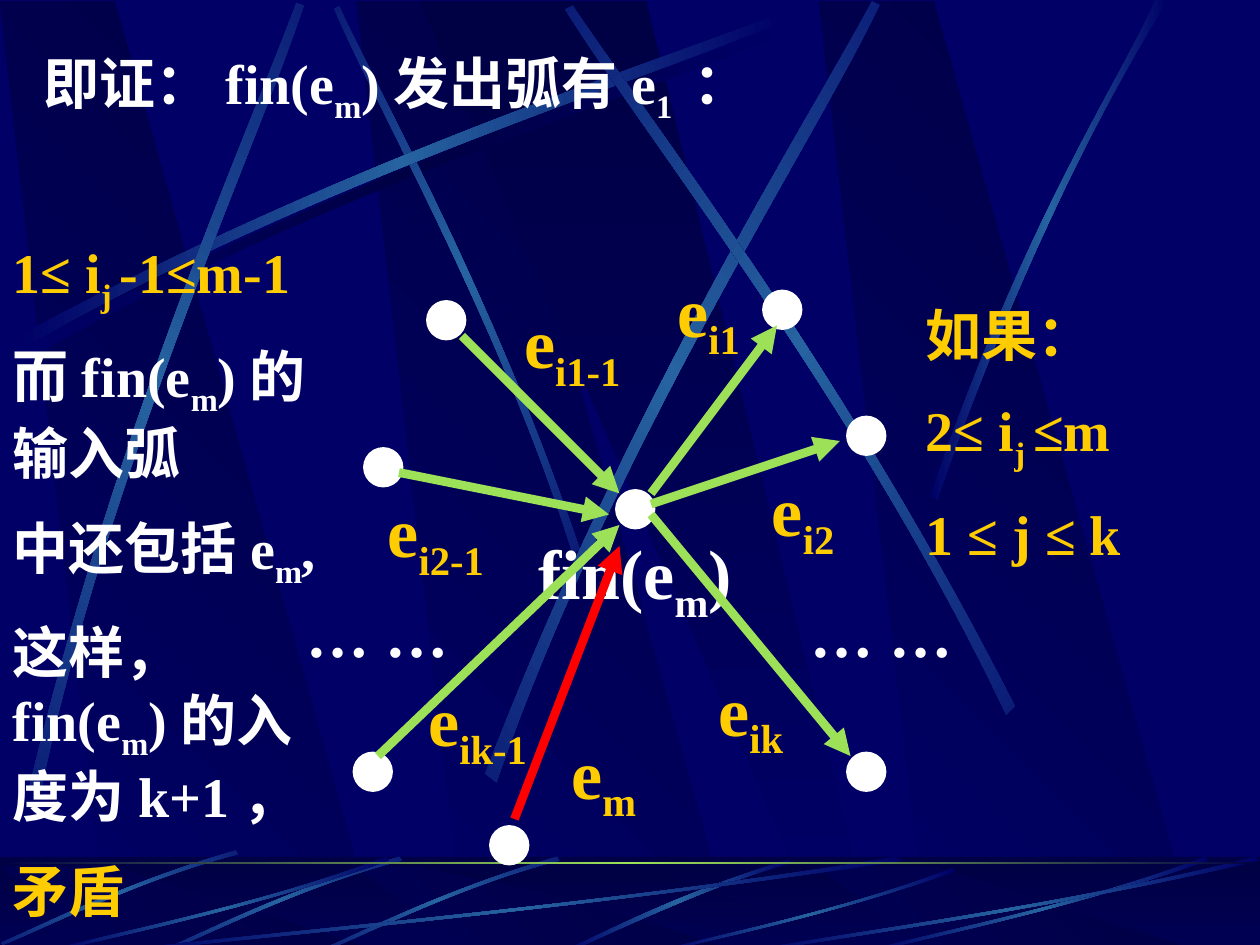
import math

import pptx
import pptx.dml.color
import pptx.enum.shapes
import pptx.enum.text
import pptx.oxml
import pptx.oxml.ns
import pptx.util

SHAPE = pptx.enum.shapes.MSO_SHAPE
ALIGN = pptx.enum.text.PP_ALIGN
NS = pptx.oxml.ns.nsdecls("a")
NAVY, DARK, STEEL, GREEN = "000066", "000044", "2663A0", "9CE157"
WHITE, GOLD, RED = "FFFFFF", "FFCC00", "FF0000"
W, H = 10, 7.5
UNIT = W / 120  # the diagram sits on a grid of 120 columns and 90 rows

# Streaks: rotation, pivot, then two cubic edges (out and back)
UPPER_STREAKS = [
    (0, (3.24, 1.52), [(0.2, 2.75), (2.84, 1.34), (5.24, 0.59), (6.26, 0.18),
                       (6.29, 0.24), (5.28, 0.69), (2.54, 1.51), (0.23, 2.85)], DARK),
    (45, (3.62, 2.22), [(4.6, 4.36), (3.91, 2.34), (3.02, 0.77), (2.69, 0.05),
                        (2.65, 0.07), (2.95, 0.79), (3.98, 2.58), (4.54, 4.39)], STEEL),
    (0, (3.18, 1.44), [(0.14, 2.67), (2.78, 1.25), (5.18, 0.51), (6.2, 0.1),
                       (6.23, 0.16), (5.22, 0.61), (2.48, 1.43), (0.17, 2.77)], STEEL),
    (311.7, (1.33, 3.16), [(0.23, 6.25), (0.93, 3.34), (1.97, 1.05), (2.35, 0.02),
                           (2.41, 0.04), (2.07, 1.09), (0.86, 3.68), (0.32, 6.29)], STEEL),
    (321.6, (5.43, 3.11), [(3.85, 6.14), (4.98, 3.2), (6.38, 1.02), (6.92, 0.01),
                           (6.98, 0.04), (6.49, 1.08), (4.86, 3.55), (3.94, 6.21)], STEEL),
    (34.7, (6.27, 2.86), [(8.06, 5.6), (6.7, 2.93), (5.16, 0.95), (4.55, 0.04),
                          (4.49, 0.07), (5.07, 1.01), (6.85, 3.25), (7.99, 5.67)], STEEL),
    (0, (8.32, 1.98), [(7.38, 3.94), (8.14, 1.73), (8.88, 0.66), (9.17, 0),
                       (9.27, 0), (8.36, 1.45), (7.69, 3.22), (7.44, 3.97)], STEEL),
]
TILTED = [(4.42, 6.8), (3.55, 7.05), (2.87, 7.4), (2.56, 7.53),
          (2.57, 7.55), (2.88, 7.43), (3.65, 7.03), (4.44, 6.83)]
# A flat streak as shares of its own width and height
FLAT = [(1, 0.04), (0.57, 0.57), (0.17, 0.85), (0.01, 1),
        (0, 0.98), (0.17, 0.81), (0.62, 0.51), (0.99, 0)]
FLAT_FRAMES = [(1, 6.8, 6.17, 0.75), (0.42, 6.8, 2.67, 0.75), (5.27, 6.89, 2.31, 0.66),
               (6.92, 6.8, 2.67, 0.75), (6, 6.8, 4, 0.75)]

NODES = [(59, 47), (35, 43), (41, 29), (81, 72), (81, 40), (73, 28), (34, 72), (47, 79)]
ARROWS = [((44, 32), (59, 47), GREEN), ((38, 45), (58, 49), GREEN),
          ((36, 72), (59, 50), GREEN), ((62, 47), (74, 31), GREEN),
          ((62, 48), (80, 42), GREEN), ((62, 49), (81, 72), GREEN),
          ((49, 78), (59, 52), RED)]
# In texts, "|" switches between normal and subscript
LABELS = [(40, 65, "e|ik-1"), (36, 47, "e|i2-1"), (49, 29, "e|i1-1"), (66, 64, "e|ik"),
          (71, 45, "e|i2"), (62, 26, "e|i1"), (52, 70, "e|m")]
DOTS = [("… …", WHITE)]
ARGUMENT = [("1≤ i|j |-1≤m-1", GOLD), ("而fin(e|m|)的输入弧", WHITE), ("中还包括e|m|,", WHITE),
            ("这样，fin(e|m|)的入度为k+1，", WHITE), ("矛盾", GOLD)]
CONDITION = [("如果：", GOLD), ("2≤ i|j |≤m", GOLD), ("1 ≤ j ≤ k", GOLD)]
CLAIM = [("即证：fin(e|m|)发出弧有e|1 |：", WHITE)]


def rgb(color):
    return pptx.dml.color.RGBColor.from_string(color)


def inch(v):
    return pptx.util.Inches(v)


def gradient(sp, colors, angle):
    """Spread the colours evenly along the angle, and drop line and shadow."""
    sp.shadow.inherit = False
    sp.line.fill.background()
    stops = "".join(
        f'<a:gs pos="{round(100000 * i / (len(colors) - 1))}"><a:srgbClr val="{c}"/></a:gs>'
        for i, c in enumerate(colors))
    fill = pptx.oxml.parse_xml(
        f'<a:gradFill {NS} rotWithShape="1"><a:gsLst>{stops}</a:gsLst>'
        f'<a:lin ang="{angle * 60000}" scaled="1"/></a:gradFill>')
    sp.fill.solid()
    solid = sp._element.spPr.find(pptx.oxml.ns.qn("a:solidFill"))
    solid.getparent().replace(solid, fill)


def outline(s, points):
    pts = [(inch(x), inch(y)) for x, y in points]
    fb = s.shapes.build_freeform(*pts[0], scale=1.0)
    fb.add_line_segments(pts[1:], close=True)
    return fb.convert_to_shape()


def bend(sp):
    """Turn segments 1-3 and 5-7 of the outline into cubic curves."""
    segments = sp._element.spPr.findall(".//" + pptx.oxml.ns.qn("a:lnTo"))
    for part in (segments[:3], segments[4:7]):
        curve = pptx.oxml.parse_xml(f"<a:cubicBezTo {NS}/>")
        part[0].addprevious(curve)
        for segment in part:
            curve.append(segment[0])
            segment.getparent().remove(segment)


def turn(point, pivot, degrees):
    a = math.radians(degrees)
    x, y = point[0] - pivot[0], point[1] - pivot[1]
    return (pivot[0] + x * math.cos(a) - y * math.sin(a),
            pivot[1] + x * math.sin(a) + y * math.cos(a))


def streak(s, rotation, pivot, points, middle=STEEL):
    sp = outline(s, [turn(p, pivot, -rotation) for p in points])
    bend(sp)
    sp.rotation = rotation
    gradient(sp, [NAVY, middle, NAVY], 0)


def bands(s, top, bottom):
    for x in (2.83, 0, 6.5):
        sp = outline(s, [(x + 0.86, bottom), (x + 3.02, bottom), (x + 0.91, top), (x, top)])
        gradient(sp, [NAVY, DARK], 315)
    sp = outline(s, [(3.33, top), (6.58, bottom), (6.94, bottom), (5.13, top)])
    gradient(sp, [DARK, NAVY], 90)


def bar(s, top, height):
    return s.shapes.add_shape(SHAPE.RECTANGLE, 0, inch(top), inch(W), inch(height))


def backdrop(s):
    s.background.fill.solid()
    s.background.fill.fore_color.rgb = rgb(NAVY)
    bands(s, 0.01, 7.52)
    for item in UPPER_STREAKS:
        streak(s, *item)
    # Floor
    gradient(bar(s, 6.8, 0.75), [DARK, NAVY], 90)
    bands(s, 6.88, 7.55)
    veil = bar(s, 6.8, 0.75)
    veil.shadow.inherit = False
    veil.line.fill.background()
    veil.fill.solid()
    veil.fill.fore_color.rgb = rgb(DARK)
    veil._element.spPr.find(".//" + pptx.oxml.ns.qn("a:srgbClr")).append(
        pptx.oxml.parse_xml(f'<a:alpha {NS} val="50000"/>'))
    streak(s, 0, (5.38, 7.18), [(6.27, 6.82), (5.37, 7.09), (4.77, 7.42), (4.48, 7.54),
                                (4.53, 7.55), (4.9, 7.38), (5.71, 7), (6.28, 6.85)])
    for dx, dy in ((0, 0), (-1.25, 0), (-2.55, -0.05)):
        streak(s, 315, (3.5 + dx, 7.18 + dy), [(x + dx, y + dy) for x, y in TILTED])
    for x, y, w, h in FLAT_FRAMES:
        streak(s, 0, (x, y), [(x + w * u, y + h * v) for u, v in FLAT])
    gradient(bar(s, 6.84, 0.02), [DARK, GREEN, DARK], 0)


def grid(*cells):
    return [inch(c * UNIT) for c in cells]


def node(s, col, row):
    sp = s.shapes.add_shape(SHAPE.OVAL, *grid(col, row, 3, 3))
    sp.shadow.inherit = False
    sp.fill.solid()
    sp.fill.fore_color.rgb = sp.line.color.rgb = rgb(WHITE)
    sp.line.width = pptx.util.Pt(5)


def arrow(s, start, end, color):
    cn = s.shapes.add_connector(pptx.enum.shapes.MSO_CONNECTOR.STRAIGHT, *grid(*start, *end))
    cn.line.color.rgb = rgb(color)
    cn.line.width = pptx.util.Pt(5)
    cn.line._get_or_add_ln().append(pptx.oxml.parse_xml(f'<a:tailEnd {NS} type="triangle"/>'))
    cn._element.spPr.append(pptx.oxml.parse_xml(f"<a:effectLst {NS}/>"))


def write(p, text, size, color):
    for i, part in enumerate(text.split("|")):
        r = p.add_run()
        r.text = part
        r.font.name, r.font.size, r.font.bold = "Times New Roman", pptx.util.Pt(size), True
        r.font.color.rgb = rgb(color)
        if i % 2:
            r._r.get_or_add_rPr().set("baseline", "-25000")


def label(s, col, row, text, color=GOLD):
    sp = s.shapes.add_shape(SHAPE.RECTANGLE, *grid(col, row, 11, 8))
    sp.shadow.inherit = False
    sp.fill.background()
    sp.line.fill.background()
    tf = sp.text_frame
    tf.word_wrap = False
    tf.vertical_anchor = pptx.enum.text.MSO_ANCHOR.MIDDLE
    tf.paragraphs[0].alignment = ALIGN.CENTER
    write(tf.paragraphs[0], text, 40, color)


def passage(s, cells, lines, size=32):
    tf = s.shapes.add_textbox(*grid(*cells)).text_frame
    tf.word_wrap = True
    tf.auto_size = pptx.enum.text.MSO_AUTO_SIZE.SHAPE_TO_FIT_TEXT
    for i, (text, color) in enumerate(lines):
        p = tf.add_paragraph() if i else tf.paragraphs[0]
        p._p.get_or_add_pPr().append(pptx.oxml.parse_xml(
            f'<a:spcBef {NS}><a:spcPct val="50000"/></a:spcBef>'))
        write(p, text, size, color)


def main():
    prs = pptx.Presentation()
    prs.slide_width, prs.slide_height = inch(W), inch(H)
    s = prs.slides.add_slide(prs.slide_layouts[6])
    backdrop(s)
    # Graph around fin(em)
    for col, row in NODES:
        node(s, col, row)
    for col in (28, 76):
        passage(s, (col, 56, 18, 8.4), DOTS, 36)
    label(s, 55, 51, "fin(e|m|)", WHITE)
    for item in ARROWS:
        arrow(s, *item)
    for item in LABELS:
        label(s, *item)
    # Proof text
    passage(s, (0, 22, 34, 65.2), ARGUMENT)
    passage(s, (87, 28, 31, 26.8), CONDITION)
    passage(s, (3, 4, 113, 7.7), CLAIM)
    prs.save("out.pptx")


if __name__ == "__main__":
    main()
